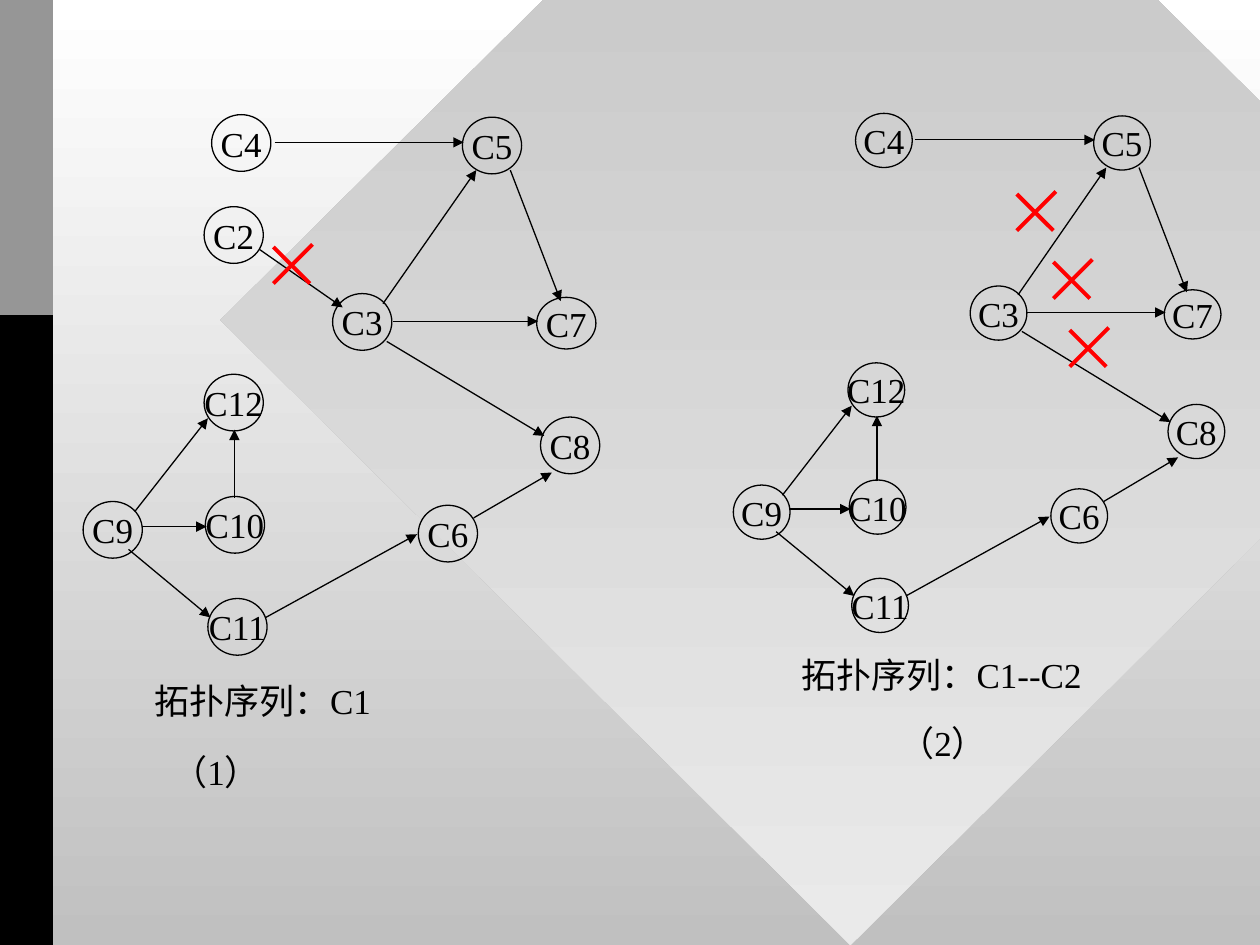
"""Builds a slide with two steps of a topological sort."""
from lxml import etree
from pptx import Presentation
from pptx.dml.color import RGBColor
from pptx.enum import shapes as sh, text as tx
from pptx.oxml import ns
from pptx.util import Inches, Pt

BLACK = RGBColor(0, 0, 0)
WHITE = RGBColor(255, 255, 255)
RED = RGBColor(255, 0, 0)
SILVER = RGBColor(0xC0, 0xC0, 0xC0)
PALE = RGBColor(0xEA, 0xEA, 0xEA)
GREY = RGBColor(0x96, 0x96, 0x96)

BACKDROP = [
    (sh.MSO_SHAPE.DIAMOND, (1.75, -2.42, 10, 9.92), (SILVER, PALE)),
    (sh.MSO_SHAPE.RECTANGLE, (0, 0, 0.42, 7.5), (BLACK,)),
    (sh.MSO_SHAPE.RECTANGLE, (0, 0, 0.42, 2.5), (GREY,)),
]
NODE_WIDTH, NODE_HEIGHT = 0.47, 0.45
COURSES = {
    "C2": (1.62, 1.64), "C3": (2.64, 2.33), "C4": (1.68, 0.91),
    "C5": (3.67, 0.93), "C6": (3.32, 4.01), "C7": (4.26, 2.36),
    "C8": (4.29, 3.31), "C9": (0.66, 3.98), "C10": (1.63, 3.94),
    "C11": (1.65, 4.75), "C12": (1.62, 2.97),
}
HEIGHTS = {"C7": 0.41}
PREREQUISITES = {
    ("C2", "C3"): (2.06, 1.98, 2.72, 2.44),
    ("C4", "C5"): (2.18, 1.13, 3.68, 1.13),
    ("C3", "C5"): (3.04, 2.41, 3.78, 1.35),
    ("C3", "C7"): (3.12, 2.55, 4.27, 2.55),
    ("C5", "C7"): (4.05, 1.35, 4.45, 2.39),
    ("C9", "C12"): (1.07, 4.06, 1.65, 3.32),
    ("C9", "C10"): (1.13, 4.18, 1.64, 4.18),
    ("C10", "C12"): (1.86, 3.95, 1.86, 3.41),
    ("C9", "C11"): (1.02, 4.36, 1.67, 4.9),
    ("C11", "C6"): (2.11, 4.9, 3.31, 4.24),
    ("C6", "C8"): (3.76, 4.11, 4.38, 3.75),
    ("C3", "C8"): (3.07, 2.71, 4.32, 3.46),
}
STEPS = [
    {"removed": [], "origin": (0, 0), "scale": (1, 1),
     "captions": [("拓扑序列：C1", (1.13, 5.34, 1.98, 0.44)),
                  ("（1）", (1.27, 5.91, 1.03, 0.44))]},
    {"removed": ["C2"], "origin": (5.19, 0.03), "scale": (0.95, 0.96),
     "captions": [("拓扑序列：C1--C2", (6.26, 5.14, 2.49, 0.44)),
                  ("（2）", (7.04, 5.68, 1.03, 0.44))]},
]
CROSS_GROUPS = [
    [(2.17, 1.94)],
    [(8.07, 1.52), (8.36, 2.06), (8.49, 2.6)],
]
CROSS_SIZE, CROSS_INSET = 0.31, 0.02
NODE_FRAME = {"word_wrap": False, "vertical_anchor": tx.MSO_ANCHOR.MIDDLE}
CAPTION_FRAME = {"word_wrap": False, "auto_size": tx.MSO_AUTO_SIZE.SHAPE_TO_FIT_TEXT}
LABEL_FONT = {"name": "Times New Roman", "size": Pt(20)}


def apply(target, values):
    for key, value in values.items():
        setattr(target, key, value)


def paint(fill, colours):
    if len(colours) == 1:
        fill.solid()
        fill.fore_color.rgb = colours[0]
        return
    fill.gradient()
    fill.gradient_angle = 270
    for stop, colour, position in zip(fill.gradient_stops, colours, (0, 1)):
        stop.color.rgb = colour
        stop.position = position


def write(frame, words, frame_format, align):
    apply(frame, frame_format)
    paragraph = frame.paragraphs[0]
    paragraph.alignment = align
    run = paragraph.add_run()
    run.text = words
    apply(run.font, LABEL_FONT)
    run.font.color.rgb = BLACK


def add_node(group, words, box):
    node = group.shapes.add_shape(sh.MSO_SHAPE.OVAL, *map(Inches, box))
    node.shadow.inherit = False
    node.fill.background()
    node.line.color.rgb = BLACK
    node.line.width = Pt(0.75)
    write(node.text_frame, words, NODE_FRAME, tx.PP_ALIGN.CENTER)


def add_line(group, ends, colour, width, arrow=False):
    line = group.shapes.add_connector(sh.MSO_CONNECTOR.STRAIGHT, *map(Inches, ends))
    line.line.color.rgb = colour
    line.line.width = Pt(width)
    if arrow:
        etree.SubElement(line.line._get_or_add_ln(), ns.qn("a:tailEnd"), type="triangle")
    etree.SubElement(line._element.spPr, ns.qn("a:effectLst"))


def add_step(slide, step):
    group = slide.shapes.add_group_shape()
    (left, top), (across, down) = step["origin"], step["scale"]

    def place(x, y):
        return round(left + across * x, 2), round(top + down * y, 2)

    for course, corner in COURSES.items():
        if course not in step["removed"]:
            height = HEIGHTS.get(course, NODE_HEIGHT)
            size = round(across * NODE_WIDTH, 2), round(down * height, 2)
            add_node(group, course, place(*corner) + size)
    for pair, (x1, y1, x2, y2) in PREREQUISITES.items():
        if not set(pair) & set(step["removed"]):
            add_line(group, place(x1, y1) + place(x2, y2), BLACK, 0.75, arrow=True)
    for words, box in step["captions"]:
        caption = group.shapes.add_textbox(*map(Inches, box))
        write(caption.text_frame, words, CAPTION_FRAME, tx.PP_ALIGN.LEFT)


def add_crosses(slide, corners):
    group = slide.shapes.add_group_shape()
    for x, y in corners:
        right, bottom = x + CROSS_SIZE, y + CROSS_SIZE
        add_line(group, (x, y + CROSS_INSET, right - CROSS_INSET, bottom), RED, 2.25)
        add_line(group, (right, y, x, bottom), RED, 2.25)


def main():
    deck = Presentation()
    deck.slide_width, deck.slide_height = Inches(10), Inches(7.5)
    slide = deck.slides.add_slide(deck.slide_layouts[6])
    paint(slide.background.fill, (WHITE, SILVER))
    for preset, box, colours in BACKDROP:
        panel = slide.shapes.add_shape(preset, *map(Inches, box))
        panel.shadow.inherit = False
        panel.line.fill.background()
        paint(panel.fill, colours)
    for step in STEPS:
        add_step(slide, step)
    for corners in CROSS_GROUPS:
        add_crosses(slide, corners)
    deck.save("out.pptx")


if __name__ == "__main__":
    main()
